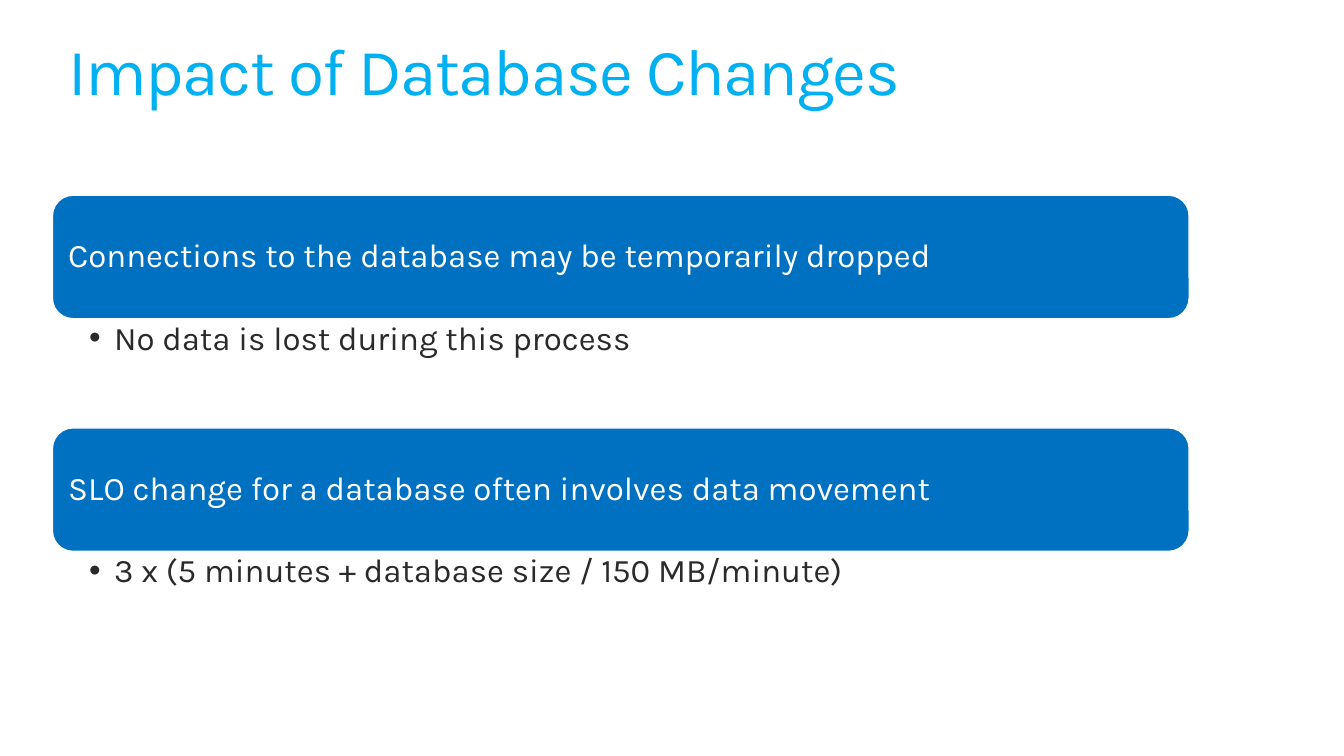
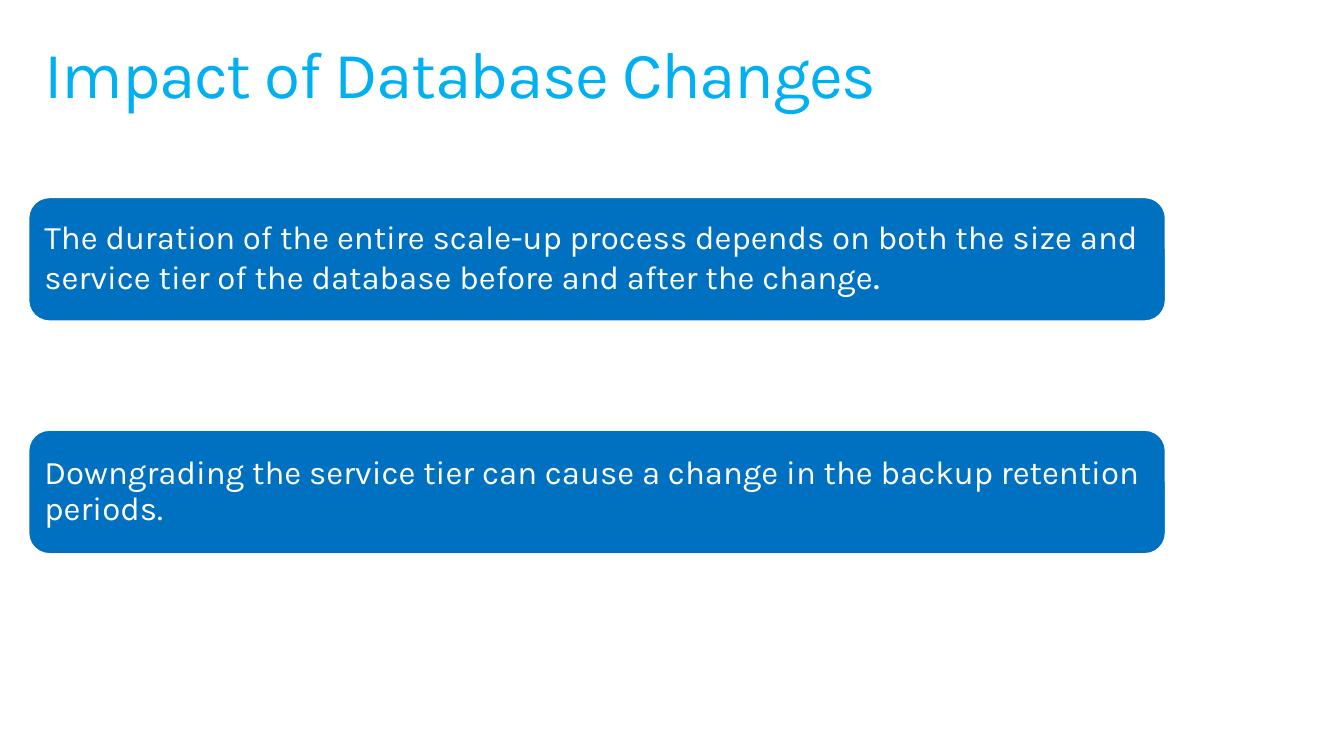
"""Build two slides on the impact of database changes."""
from lxml import etree
from pptx import Presentation
from pptx.dml.color import RGBColor
from pptx.enum.shapes import MSO_SHAPE
from pptx.enum.text import MSO_ANCHOR, MSO_AUTO_SIZE, PP_ALIGN
from pptx.oxml.ns import qn
from pptx.util import Cm, Pt

ROUNDED = MSO_SHAPE.ROUNDED_RECTANGLE
TOP, MIDDLE = MSO_ANCHOR.TOP, MSO_ANCHOR.MIDDLE
LEFT = PP_ALIGN.LEFT
NO_FIT = MSO_AUTO_SIZE.NONE

FONT = "Karla"
TITLE_BLUE = RGBColor(0x00, 0xB0, 0xF0)
CARD_BLUE = RGBColor(0x00, 0x70, 0xC0)
DARK = RGBColor(0x2A, 0x2A, 0x2A)
WHITE = RGBColor(0xFF, 0xFF, 0xFF)

TITLE_ONLY, TWO_BODIES = 5, 3
TITLE = "Impact of Database Changes"
CARD_WIDTH, CARD_HEIGHT = Cm(29.21), Cm(3.17)
CARD_PITCH = Cm(5.98)
DETAIL_HEIGHT = Cm(2.79)
INDENT = Cm(0.64)

SLIDES = [
    {
        "layout": TWO_BODIES,
        "title_box": (Cm(1.35), Cm(0.74), Cm(30.18), Cm(2.62)),
        "cards_top": Cm(5.02),
        "cards": [
            [("Connections to the database may be temporarily dropped", 24)],
            [("SLO change for a database often involves data movement", 24)],
        ],
        "details": [
            "No data is lost during this process",
            "3 x (5 minutes + database size / 150 MB/minute)",
        ],
    },
    {
        "layout": TITLE_ONLY,
        "title_box": (Cm(0.74), Cm(0.81), Cm(32.39), Cm(2.49)),
        "cards_top": Cm(5.08),
        "cards": [
            [("The duration of the entire scale-up process depends on both the size and "
              "service tier of the database before and after the change", 24), (".", 28)],
            [("Downgrading the service tier can cause a change in the backup retention "
              "periods.", 24)],
        ],
        "details": [],
    },
]


def place(shape, left, top, width, height):
    """Set the position and size of a shape."""
    shape.left, shape.top, shape.width, shape.height = left, top, width, height


def write(shape, runs, color, anchor, insets):
    """Fill a shape with one left-aligned paragraph and return it."""
    frame = shape.text_frame
    frame.word_wrap = True
    frame.auto_size = NO_FIT
    frame.vertical_anchor = anchor
    frame.margin_left, frame.margin_top, frame.margin_right, frame.margin_bottom = insets
    paragraph = frame.paragraphs[0]
    paragraph.alignment = LEFT
    paragraph.line_spacing = 0.9
    paragraph.space_before = Pt(0)
    for text, size in runs:
        run = paragraph.add_run()
        run.text = text
        run.font.name = FONT
        run.font.size = Pt(size)
        run.font.color.rgb = color
    return paragraph


def add_title(slide, box):
    """Place and format the slide title."""
    place(slide.shapes.title, *box)
    insets = (Cm(0.41), Cm(0.25), Cm(0.41), Cm(0.25))
    paragraph = write(slide.shapes.title, [(TITLE, 48)], TITLE_BLUE, TOP, insets)
    for run in paragraph.runs:
        run._r.get_or_add_rPr().set("spc", "-100")


def add_card(slide, left, top, runs):
    """Add a rounded card with its statement."""
    card = slide.shapes.add_shape(ROUNDED, left, top, CARD_WIDTH, CARD_HEIGHT)
    card.shadow.inherit = False
    card.fill.solid()
    card.fill.fore_color.rgb = CARD_BLUE
    card.line.color.rgb = WHITE
    card.line.width = Pt(0.85)
    write(card, runs, WHITE, MIDDLE, (Cm(0.25),) * 4)


def fill_detail(body, left, top, text):
    """Place a body placeholder below its card as a bullet."""
    place(body, left, top, CARD_WIDTH, DETAIL_HEIGHT)
    insets = (Cm(0.94), Cm(0.08), Cm(0.48), Cm(0.08))
    paragraph = write(body, [(text, 24)], DARK, TOP, insets)
    properties = paragraph._p.get_or_add_pPr()
    properties.set("marL", str(INDENT))
    properties.set("indent", str(-INDENT))
    etree.SubElement(properties, qn("a:buChar")).set("char", "•")


def build_slide(presentation, content):
    """Build one slide of cards with optional details."""
    slide = presentation.slides.add_slide(presentation.slide_layouts[content["layout"]])
    bodies = list(slide.placeholders)[1:]
    left = content["title_box"][0]
    tops = [content["cards_top"] + row * CARD_PITCH for row in range(len(content["cards"]))]
    add_title(slide, content["title_box"])
    for top, runs in zip(tops, content["cards"]):
        add_card(slide, left, top, runs)
    for body, top, text in zip(bodies, tops, content["details"]):
        fill_detail(body, left, top + CARD_HEIGHT, text)


def main():
    """Create and save the presentation."""
    presentation = Presentation()
    presentation.slide_width, presentation.slide_height = Cm(34.54), Cm(19.43)
    for content in SLIDES:
        build_slide(presentation, content)
    presentation.save("out.pptx")


if __name__ == "__main__":
    main()
